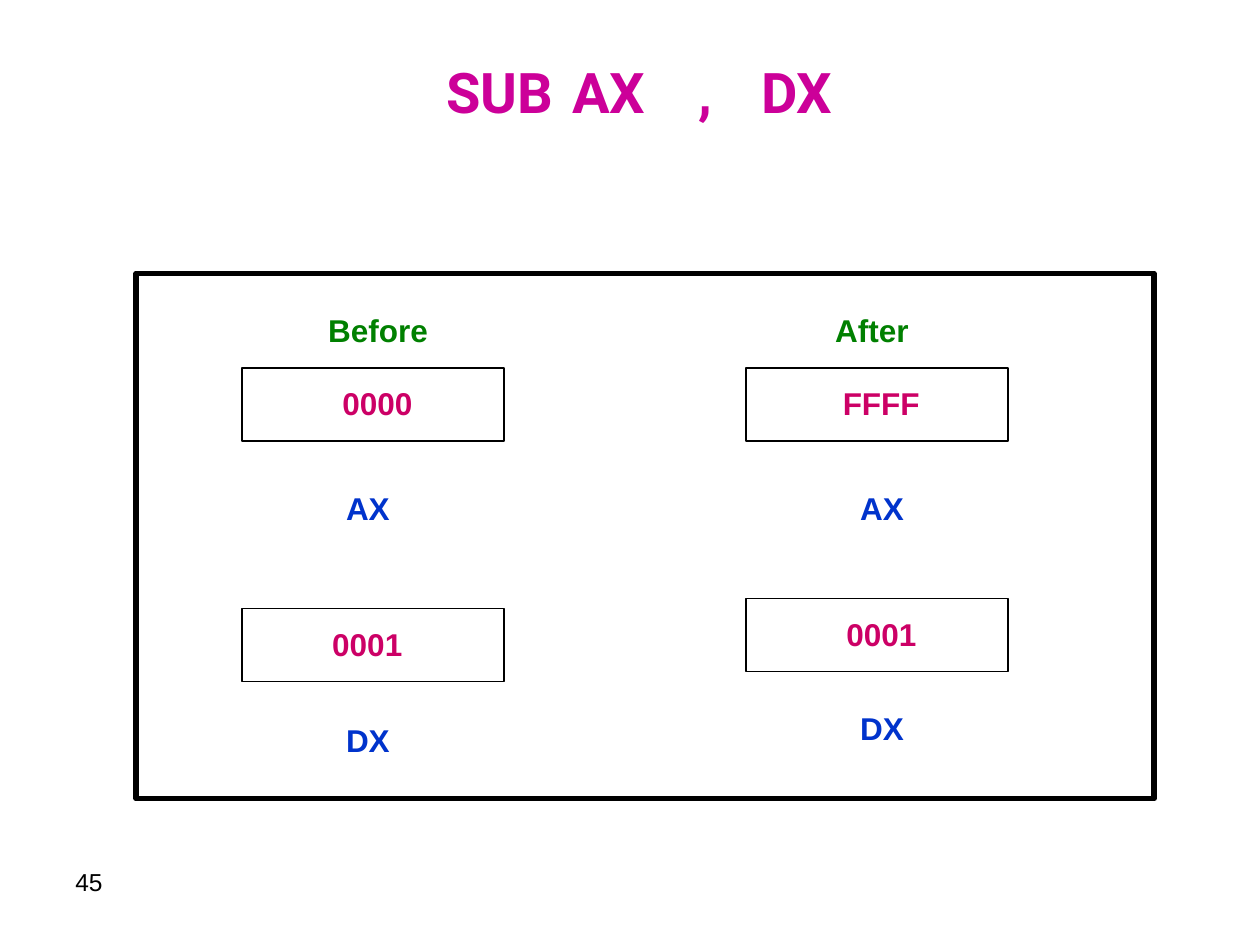
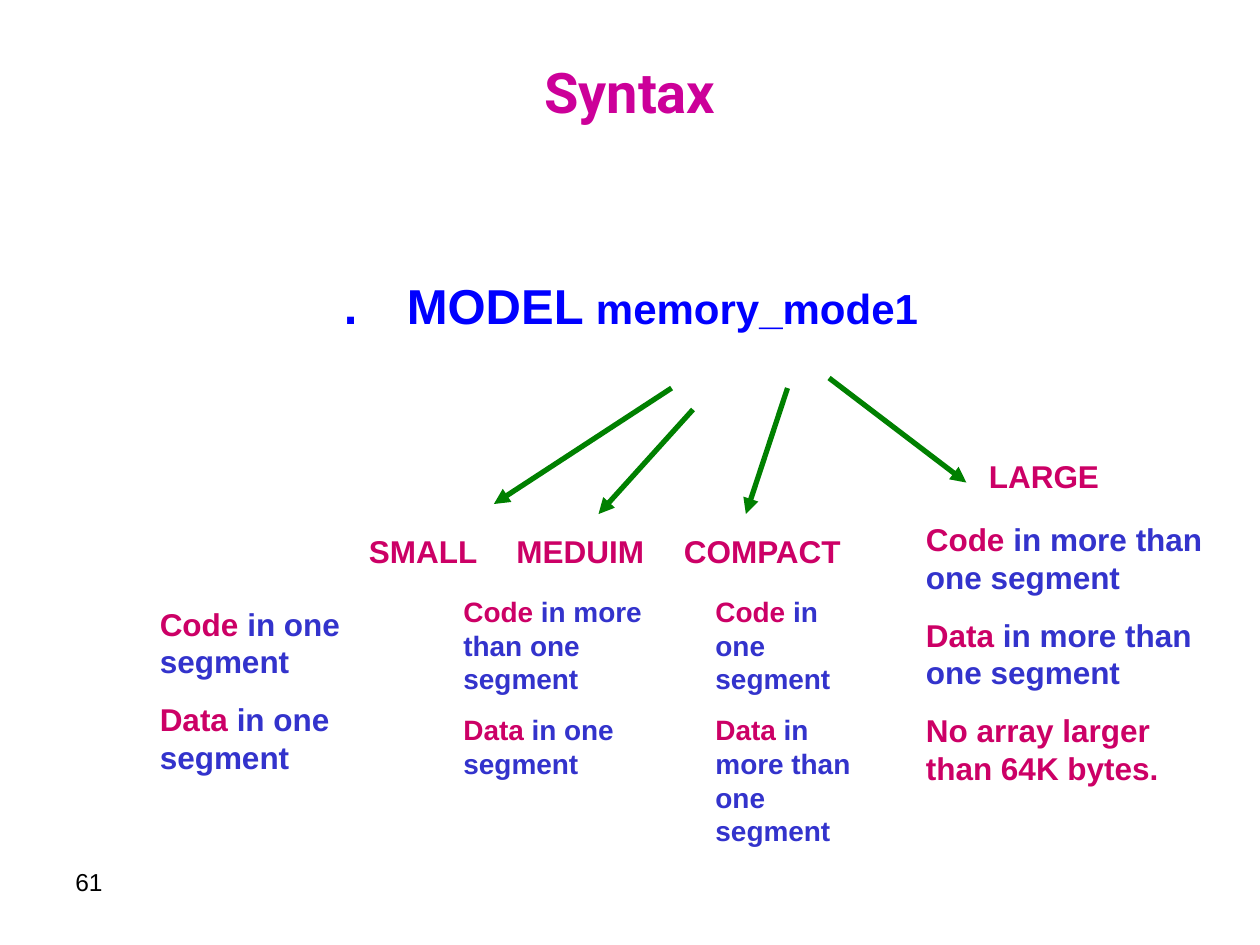
from lxml import etree
from pptx import Presentation
from pptx.dml.color import RGBColor
from pptx.enum.shapes import MSO_CONNECTOR, MSO_SHAPE
from pptx.enum.text import MSO_ANCHOR, MSO_AUTO_SIZE, PP_ALIGN
from pptx.oxml.ns import qn
from pptx.util import Inches, Pt

LEFT, CENTER = PP_ALIGN.LEFT, PP_ALIGN.CENTER
TOP, MIDDLE = MSO_ANCHOR.TOP, MSO_ANCHOR.MIDDLE
FIXED = MSO_AUTO_SIZE.NONE
RECT, STRAIGHT = MSO_SHAPE.RECTANGLE, MSO_CONNECTOR.STRAIGHT

BLACK = RGBColor(0x00, 0x00, 0x00)
PURPLE = RGBColor(0xCC, 0x00, 0x99)
PINK = RGBColor(0xCC, 0x00, 0x66)
GREEN = RGBColor(0x00, 0x80, 0x00)
NAVY = RGBColor(0x00, 0x33, 0xCC)
INDIGO = RGBColor(0x33, 0x33, 0xCC)
BLUE = RGBColor(0x00, 0x00, 0xFF)

TITLE_ONLY, TITLE_BODY = 5, 1


def place(shape, box):
    shape.left, shape.top, shape.width, shape.height = map(Inches, box)


def style(run, size, color, bold=True, face="Arial"):
    font = run.font
    font.name, font.size, font.bold = face, Pt(size), bold
    font.color.rgb = color


def set_tabs(para, stops):
    props = para._p.get_or_add_pPr()
    props.set("marL", "0")
    props.set("indent", "0")
    etree.SubElement(props, qn("a:buNone"))
    tabs = etree.SubElement(props, qn("a:tabLst"))
    for stop in stops:
        etree.SubElement(tabs, qn("a:tab"), pos=str(Inches(stop)), algn="l")


def add_text(slide, box, paras, size=18, align=LEFT, bold=True, gap=0):
    shape = slide.shapes.add_textbox(*map(Inches, box))
    frame = shape.text_frame
    frame.word_wrap = True
    for i, parts in enumerate(paras):
        para = frame.add_paragraph() if i else frame.paragraphs[0]
        para.alignment = align
        para.space_before = Pt(gap if i else 0)
        for text, color in parts:
            run = para.add_run()
            run.text = text
            style(run, size, color, bold)


def add_label(slide, box, text, color):
    add_text(slide, box, [[(text, color)]], align=CENTER)


def add_rect(slide, box, weight):
    rect = slide.shapes.add_shape(RECT, *map(Inches, box))
    rect.shadow.inherit = False
    rect.fill.background()
    rect.line.color.rgb = BLACK
    rect.line.width = Pt(weight)


def add_arrow(slide, start, end):
    arrow = slide.shapes.add_connector(STRAIGHT, *map(Inches, start + end))
    arrow.line.color.rgb = GREEN
    arrow.line.width = Pt(3)
    etree.SubElement(arrow.line._get_or_add_ln(), qn("a:tailEnd"), type="triangle")
    etree.SubElement(arrow._element.spPr, qn("a:effectLst"))


def add_slide(deck, layout, title, number, inset=0.1, stops=()):
    slide = deck.slides.add_slide(deck.slide_layouts[layout])
    shape = slide.shapes.title
    place(shape, (0.5, 0.3, 9, 0.85))
    frame = shape.text_frame
    frame.text = title
    frame.auto_size, frame.vertical_anchor = FIXED, MIDDLE
    frame.margin_left = Inches(inset)
    para = frame.paragraphs[0]
    para.alignment = LEFT if stops else CENTER
    set_tabs(para, stops)
    for run in para.runs:
        style(run, 32, PURPLE, face="Roboto")
    add_text(slide, (0.5, 6.83, 2.33, 0.52), [[(number, BLACK)]], 14, bold=False)
    return slide


def add_cell(slide, x, y, value, name, shift, nudge, drop):
    add_rect(slide, (x, y, 2.08, 0.58), 0.75)
    add_label(slide, (x + shift, y + 0.08, 1.83, 0.4), value, PINK)
    add_label(slide, (x + nudge, y + drop, 2, 0.4), name, NAVY)


def add_state(slide, box):
    left, top = box[:2]
    add_rect(slide, box, 3)
    for x, text in ((0.92, "Before"), (4.84, "After")):
        add_label(slide, (left + x, top + 0.25, 2, 0.4), text, GREEN)
    cells = (
        (0.84, 0.75, "0000", "AX", 0.16, 0, 0.91),
        (4.84, 0.75, "FFFF", "AX", 0.16, 0.08, 0.91),
        (0.84, 2.66, "0001", "DX", 0.08, 0, 0.84),
        (4.84, 2.58, "0001", "DX", 0.16, 0.08, 0.83),
    )
    for x, y, *rest in cells:
        add_cell(slide, left + x, top + y, *rest)


def add_syntax(slide, box):
    body = slide.placeholders[1]
    place(body, box)
    frame = body.text_frame
    frame.auto_size, frame.vertical_anchor = FIXED, TOP
    frame.margin_left, frame.margin_top = Inches(2.46), Inches(0.64)
    para = frame.paragraphs[0]
    para.space_before = Pt(0)
    set_tabs(para, (0.32, 2.48))
    for text, size in ((".\tMODEL\t", 28), ("memory_mode1", 24)):
        run = para.add_run()
        run.text = text
        style(run, size, BLUE)


def add_model(slide, name, head, start, end, box, rules, size):
    add_arrow(slide, start, end)
    add_text(slide, head + (0.4,), [[(name, PINK)]])
    paras = [[(key, PINK), (rest, INDIGO)] if rest else [(key, PINK)]
             for key, rest in rules]
    add_text(slide, box, paras, size, gap=size * 0.625)


def add_models(slide):
    one, more = " in one segment", " in more than one segment"
    models = (
        ("SMALL", (2.83, 4.17, 1.17), (5.33, 3.08), (3.92, 4),
         (1.17, 4.75, 1.83, 1.46), (("Code", one), ("Data", one)), 18),
        ("MEDUIM", (4, 4.17, 1.25), (5.5, 3.25), (4.75, 4.08),
         (3.58, 4.67, 1.67, 1.57), (("Code", more), ("Data", one)), 16),
        ("COMPACT", (5.33, 4.17, 1.67), (6.25, 3.08), (5.92, 4.08),
         (5.58, 4.67, 1.42, 2.11), (("Code", one), ("Data", more)), 16),
        ("LARGE", (7.75, 3.58, 1.17), (6.58, 3), (7.67, 3.83),
         (7.25, 4.08, 2.5, 2.67),
         (("Code", more), ("Data", more),
          ("No array larger than 64K bytes.", "")), 18),
    )
    for model in models:
        add_model(slide, *model)


def main():
    deck = Presentation()
    deck.slide_width, deck.slide_height = Inches(10), Inches(7.5)
    slide = add_slide(deck, TITLE_ONLY, "SUB\tAX\t,\tDX", "45", 3.04, (1.2, 1.99, 2.3))
    add_state(slide, (1.08, 2.17, 8.08, 4.17))
    slide = add_slide(deck, TITLE_BODY, "Syntax", "61")
    add_syntax(slide, (0.27, 1.55, 9.53, 4.95))
    add_models(slide)
    deck.save("out.pptx")


if __name__ == "__main__":
    main()
